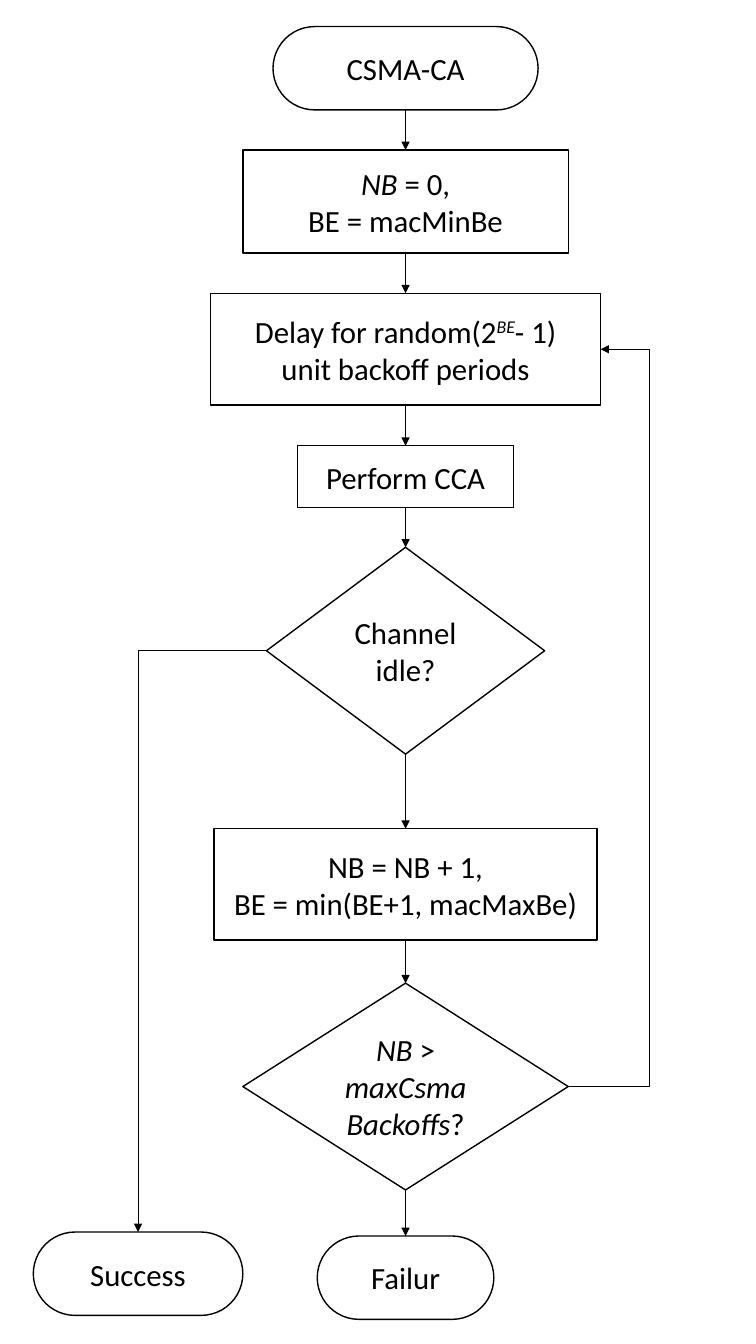
"""Build a flowchart slide of the CSMA-CA backoff procedure."""
import pptx
import pptx.dml.color
import pptx.enum.shapes
import pptx.enum.text
import pptx.oxml.ns
import pptx.util
from lxml import etree

Cm = pptx.util.Cm
Pt = pptx.util.Pt
Kind = pptx.enum.shapes.MSO_SHAPE
Route = pptx.enum.shapes.MSO_CONNECTOR
qn = pptx.oxml.ns.qn
BLACK = pptx.dml.color.RGBColor(0, 0, 0)
WHITE = pptx.dml.color.RGBColor(255, 255, 255)
FONT = "Calibri"
MAIN_X = 10.22
SUCCESS_X = 3.48
RETURN_X = 16.36

deck = pptx.Presentation()
deck.slide_width, deck.slide_height = Cm(19.05), Cm(33.86)
page = deck.slides.add_slide(deck.slide_layouts[6])


def add_step(kind, center, top, width, height, lines):
    """Draw one flowchart step; each line is a list of (text, style) runs."""
    box = page.shapes.add_shape(kind, Cm(center - width / 2), Cm(top), Cm(width), Cm(height))
    box.shadow.inherit = False
    box.fill.solid()
    box.fill.fore_color.rgb = WHITE
    box.line.color.rgb = BLACK
    box.line.width = Pt(1)
    if kind == Kind.ROUNDED_RECTANGLE:
        box.adjustments[0] = 0.5
    frame = box.text_frame
    frame.word_wrap = True
    frame.vertical_anchor = pptx.enum.text.MSO_ANCHOR.MIDDLE
    frame.margin_left = frame.margin_right = Cm(0.46)
    frame.margin_top = frame.margin_bottom = Cm(0.23)
    for index, line in enumerate(lines):
        para = frame.add_paragraph() if index else frame.paragraphs[0]
        para.alignment = pptx.enum.text.PP_ALIGN.CENTER
        for text, style in line:
            span = para.add_run()
            span.text = text
            span.font.name = FONT
            span.font.size = Pt(22)
            span.font.color.rgb = BLACK
            span.font.italic = style != "plain"
            if style == "superscript":
                span.font._element.set("baseline", "30000")


def add_arrow(route, start_x, start_y, end_x, end_y):
    """Draw a thin arrow and return its connector."""
    arrow = page.shapes.add_connector(route, Cm(start_x), Cm(start_y), Cm(end_x), Cm(end_y))
    arrow.line.color.rgb = BLACK
    arrow.line.width = Pt(0.5)
    etree.SubElement(arrow.line._get_or_add_ln(), qn("a:tailEnd"), type="triangle", w="med", len="med")
    etree.SubElement(arrow._element.spPr, qn("a:effectLst"))
    return arrow


main_steps = [
    (Kind.ROUNDED_RECTANGLE, 0.67, 6.68, 2.1, [[("CSMA-CA", "plain")]]),
    (Kind.RECTANGLE, 3.78, 8.2, 2.6,
     [[("NB ", "italic"), ("= 0,", "plain")], [("BE = macMinBe", "plain")]]),
    (Kind.RECTANGLE, 7.39, 9.83, 2.82,
     [[("Delay for random(2", "plain"), ("BE", "superscript"), ("- 1) unit backoff periods", "plain")]]),
    (Kind.RECTANGLE, 11.23, 5.44, 1.56, [[("Perform CCA", "plain")]]),
    (Kind.DIAMOND, 13.79, 7.01, 5.21, [[("Channel idle?", "plain")]]),
    (Kind.RECTANGLE, 20.88, 9.65, 2.8,
     [[("NB = NB + 1,", "plain")], [("BE = min(BE+1, macMaxBe)", "plain")]]),
    (Kind.DIAMOND, 24.77, 8.2, 5.21,
     [[("NB", "italic"), (" > ", "plain"), ("maxCsmaBackoffs", "italic"), ("?", "plain")]]),
    (Kind.ROUNDED_RECTANGLE, 31.14, 4.45, 2.1, [[("Failur", "plain")]]),
]
for kind, top, width, height, lines in main_steps:
    add_step(kind, MAIN_X, top, width, height, lines)
success_top = 31.04
add_step(Kind.ROUNDED_RECTANGLE, SUCCESS_X, success_top, 5.28, 2.1, [[("Success", "plain")]])

for upper, lower in zip(main_steps, main_steps[1:]):
    add_arrow(Route.STRAIGHT, MAIN_X, upper[1] + upper[3], MAIN_X, lower[1])

delay, idle, limit = main_steps[2], main_steps[4], main_steps[6]
success_arrow = add_arrow(Route.ELBOW, MAIN_X - idle[2] / 2, idle[1] + idle[3] / 2, SUCCESS_X, success_top)
success_arrow._element.spPr.find(qn("a:prstGeom")).set("prst", "bentConnector2")

limit_right, delay_right = MAIN_X + limit[2] / 2, MAIN_X + delay[2] / 2
return_arrow = add_arrow(Route.ELBOW, limit_right, limit[1] + limit[3] / 2,
                         delay_right, delay[1] + delay[3] / 2)
bend = round((RETURN_X - limit_right) / (delay_right - limit_right) * 100000)
geometry = return_arrow._element.spPr.find(qn("a:prstGeom"))
etree.SubElement(geometry.find(qn("a:avLst")), qn("a:gd"), name="adj1", fmla=f"val {bend}")

deck.save("out.pptx")
